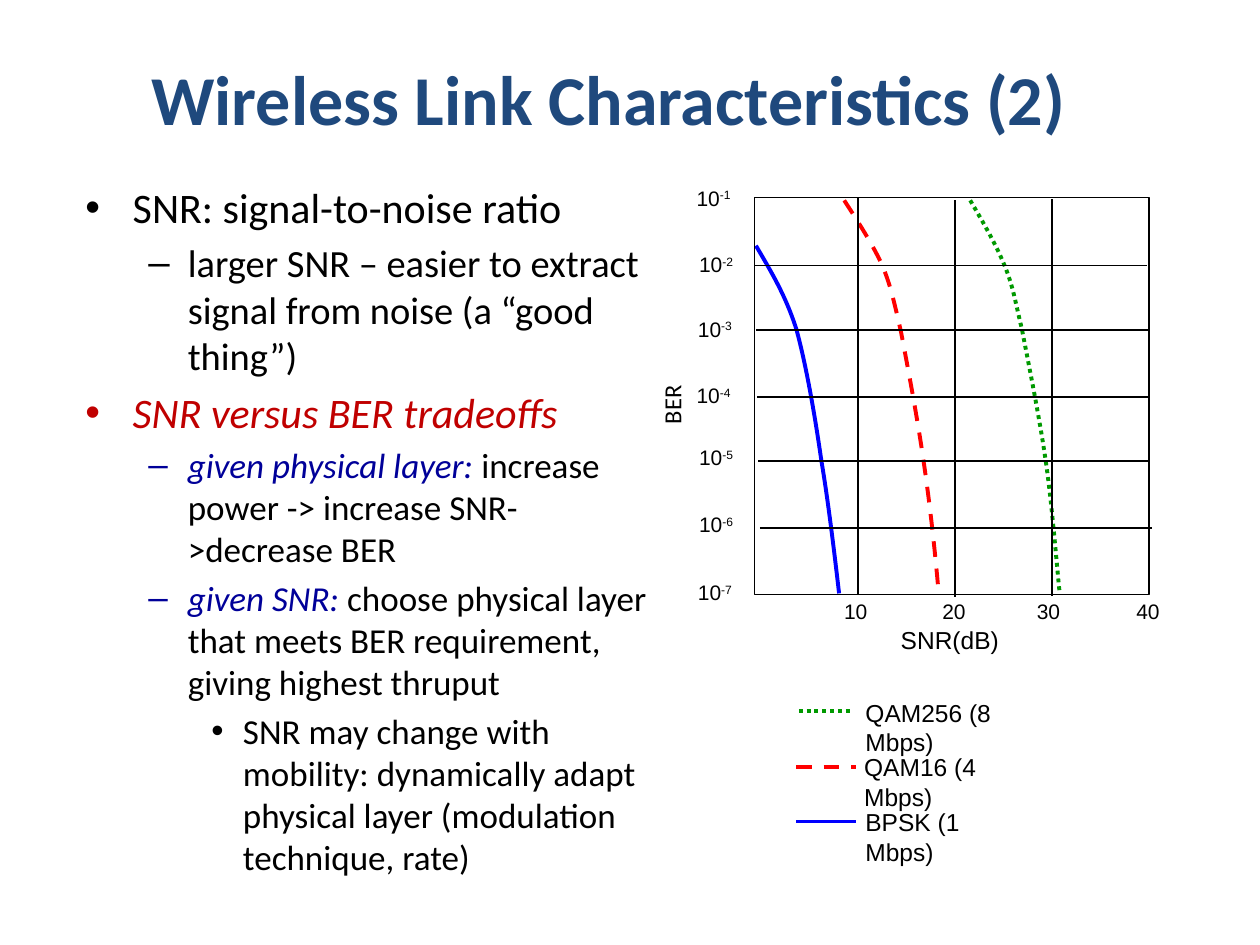
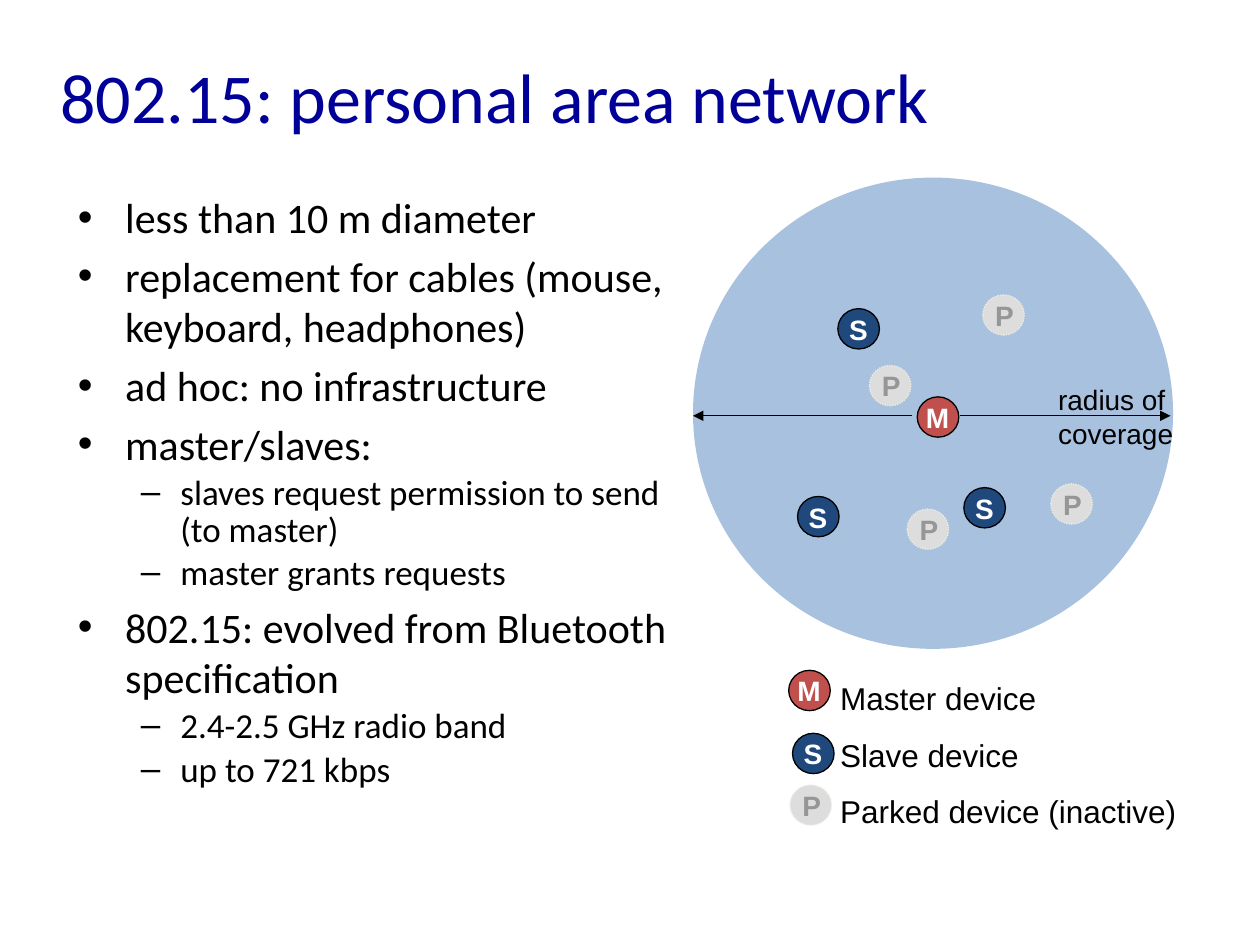
from lxml import etree
from pptx import Presentation
from pptx.dml.color import RGBColor
from pptx.enum.dml import MSO_LINE
from pptx.enum.shapes import MSO_CONNECTOR, MSO_SHAPE
from pptx.enum.text import MSO_ANCHOR, MSO_AUTO_SIZE, PP_ALIGN
from pptx.oxml.ns import qn
from pptx.util import Emu, Pt

EMU_PER_PX = 9144
TITLE_ONLY = 5
HEADING_FONT = "Calibri"
LABEL_FONT = "Arial"
COLORS = {
    "black": "000000",
    "white": "FFFFFF",
    "navy": "1F497D",
    "indigo": "000099",
    "crimson": "C00000",
    "blue": "0000FF",
    "red": "FF0000",
    "green": "009900",
    "coverage": "4F81BD",
    "master": "C0504D",
    "parked": "DDDDDD",
    "parked_edge": "EEECE1",
    "parked_text": "969696",
}
BULLETS = [(Pt(27), Pt(-27), "•"), (Pt(58.5), Pt(-22.5), "–"), (Pt(90), Pt(-18), "•")]
DEVICES = {
    "M": ("master", "black", "white", None, -3),
    "S": ("navy", "black", "white", None, -1),
    "P": ("parked", "parked_edge", "parked_text", MSO_LINE.ROUND_DOT, 0),
}
BER_GRID = [54, 105, 158, 209, 262]
BER_LABELS = [(-56, -15), (-54, 38), (-55, 89), (-56, 142), (-54, 191), (-54, 244), (-55, 298)]
SNR_GRID = [(82, 0), (159, 2), (236, 1)]
SNR_LABELS = [61, 139, 214, 293]
MODULATIONS = [
    ("green", MSO_LINE.ROUND_DOT,
     [(171, 2), (181, 19), (191, 36), (198, 53), (205, 70), (206, 79), (212, 104),
      (217, 130), (226, 174), (231, 209), (236, 243), (240, 295), (242, 313)]),
    ("red", MSO_LINE.DASH,
     [(71, 2), (82, 19), (93, 36), (101, 53), (108, 70), (110, 80), (116, 106),
      (121, 132), (129, 174), (134, 209), (139, 243), (143, 279), (146, 314)]),
    ("blue", None,
     [(1, 38), (12, 57), (24, 76), (33, 104), (41, 133), (48, 174), (53, 209),
      (59, 244), (65, 297), (67, 314)]),
]
LEGEND = [
    ("QAM256 (8 Mbps)", (45, 0, 178, 33), (2, 45, 15)),
    ("QAM16 (4 Mbps)", (44, 43, 168, 33), (0, 47, 60)),
    ("BPSK (1 Mbps)", (45, 87, 154, 33), (0, 47, 103)),
]


def px(value):
    return Emu(round(value * EMU_PER_PX))


def rgb(name):
    return RGBColor.from_string(COLORS[name])


def format_run(run, size, color="black", font=LABEL_FONT, bold=False, italic=False):
    run.font.size = Pt(size)
    run.font.name = font
    run.font.bold = bold
    run.font.italic = italic
    run.font.color.rgb = rgb(color)


def format_line(line, color="black", width=0.75, dash=None):
    line.color.rgb = rgb(color)
    line.width = Pt(width)
    if dash is not None:
        line.dash_style = dash


def add_label(shapes, box, text, size, color="black", font=LABEL_FONT, bold=False,
              wrap=False, spacing=None):
    label = shapes.add_textbox(*map(px, box))
    label.text_frame.word_wrap = wrap
    label.text_frame.text = text
    for paragraph in label.text_frame.paragraphs:
        if spacing:
            paragraph.line_spacing = spacing
        for run in paragraph.runs:
            format_run(run, size, color, font, bold)
    return label


def add_line(shapes, start, end, color="black", width=0.75, dash=None, arrow=None):
    connector = shapes.add_connector(MSO_CONNECTOR.STRAIGHT, *map(px, start + end))
    format_line(connector.line, color, width, dash)
    if arrow:
        etree.SubElement(connector.line._get_or_add_ln(), qn(f"a:{arrow}"), type="triangle")
    etree.SubElement(connector.element.spPr, qn("a:effectLst"))


def add_titled_slide(presentation, box, text, color, bold, alignment):
    slide = presentation.slides.add_slide(presentation.slide_layouts[TITLE_ONLY])
    title = slide.shapes.title
    title.left, title.top, title.width, title.height = map(px, box)
    title.text_frame.text = text
    title.text_frame.auto_size = MSO_AUTO_SIZE.NONE
    title.text_frame.vertical_anchor = MSO_ANCHOR.MIDDLE
    paragraph = title.text_frame.paragraphs[0]
    paragraph.alignment = alignment
    format_run(paragraph.runs[0], 40, color, HEADING_FONT, bold)
    return slide


def format_bullet(paragraph, level):
    margin, indent, character = BULLETS[level]
    paragraph.level = level
    properties = paragraph._p.get_or_add_pPr()
    properties.set("marL", str(margin))
    properties.set("indent", str(indent))
    space_before = etree.SubElement(properties, qn("a:spcBef"))
    etree.SubElement(space_before, qn("a:spcPct"), val="20000")
    etree.SubElement(properties, qn("a:buFont"), typeface=LABEL_FONT)
    etree.SubElement(properties, qn("a:buChar"), char=character)


def add_body(slide, box, items):
    body = slide.shapes.add_textbox(*map(px, box))
    frame = body.text_frame
    frame.word_wrap = True
    for index, (level, size, spacing, parts) in enumerate(items):
        paragraph = frame.paragraphs[0] if index == 0 else frame.add_paragraph()
        if spacing:
            paragraph.line_spacing = Pt(spacing)
        format_bullet(paragraph, level)
        for text, color, italic in parts:
            run = paragraph.add_run()
            run.text = text
            format_run(run, size, color, HEADING_FONT, italic=italic)


def add_curve(shapes, left, top, points, color, dash):
    start, *controls = [(px(left + x), px(top + y)) for x, y in points]
    builder = shapes.build_freeform(*start, scale=1.0)
    builder.add_line_segments(controls, close=False)
    curve = builder.convert_to_shape()
    outline = next(curve.element.iter(qn("a:path")))
    segments = outline.findall(qn("a:lnTo"))
    for first in range(0, len(segments), 3):
        bezier = etree.SubElement(outline, qn("a:cubicBezTo"))
        for segment in segments[first:first + 3]:
            bezier.append(segment[0])
            outline.remove(segment)
    curve.shadow.inherit = False
    curve.fill.background()
    format_line(curve.line, color, 2.25, dash)


def add_ber_plot(slide, box):
    left, top, width, height = box
    bottom = top + height
    shapes = slide.shapes
    for color, dash, points in reversed(MODULATIONS):
        add_curve(shapes, left, top, points, color, dash)

    frame = shapes.add_shape(MSO_SHAPE.RECTANGLE, *map(px, box))
    frame.shadow.inherit = False
    frame.fill.background()
    format_line(frame.line)

    for shift, y in enumerate(BER_GRID):
        start = left + shift
        add_line(shapes, (start, top + y), (start + width - 2, top + y))
    for x, shift in SNR_GRID:
        add_line(shapes, (left + x, top + shift), (left + x, bottom + shift))

    for index, x in enumerate(SNR_LABELS, 1):
        add_label(shapes, (left + x, bottom - 2, 39, 30), str(10 * index), 12)
    for index, (x, y) in enumerate(BER_LABELS, 1):
        label = add_label(shapes, (left + x, top + y, 48, 30), "10", 12)
        exponent = label.text_frame.paragraphs[0].add_run()
        exponent.text = f"-{index}"
        format_run(exponent, 12)
        exponent._r.get_or_add_rPr().set("baseline", "30000")

    add_label(shapes, (left + 106, bottom + 19, 98, 33), "SNR(dB)", 14)
    axis_title = add_label(shapes, (left - 92, top + 146, 53, 34), "BER", 14, font=HEADING_FONT)
    axis_title.rotation = 270


def add_modulation_legend(slide, left, top):
    for (color, dash, _), (text, (x, y, width, height), (start, end, line_y)) in zip(
            MODULATIONS, LEGEND):
        add_line(slide.shapes, (left + start, top + line_y), (left + end, top + line_y),
                 color, 2.25, dash)
        label = add_label(slide.shapes, (left + x, top + y, width, height), text, 14, wrap=True)
        label.text_frame.margin_right = px(width - 120)


def add_device(shapes, left, top, letter):
    fill, edge, text_color, dash, shift = DEVICES[letter]
    disc = shapes.add_shape(MSO_SHAPE.OVAL, *map(px, (left, top, 33, 32)))
    disc.shadow.inherit = False
    disc.fill.solid()
    disc.fill.fore_color.rgb = rgb(fill)
    format_line(disc.line, edge, dash=dash)
    add_label(shapes, (left + shift, top - 2, 33, 37), letter, 16, text_color, bold=True, wrap=True)


def add_coverage_area(slide, box):
    left, top, width, _ = box
    shapes = slide.shapes
    area = shapes.add_shape(MSO_SHAPE.OVAL, *map(px, box))
    area.shadow.inherit = False
    area.fill.solid()
    area.fill.fore_color.rgb = rgb("coverage")
    color = area.fill._xPr.find(qn("a:solidFill"))[0]
    etree.SubElement(color, qn("a:alpha"), val="49000")
    area.line.fill.background()

    y = top + 189
    add_line(shapes, (left + 212, y), (left + width - 2, y), arrow="tailEnd")
    add_line(shapes, (left, y), (left + 174, y), arrow="headEnd")
    add_label(shapes, (left + 280, top + 158, 111, 64), "radius of\ncoverage", 16)
    for letter, x, y in [("M", 178, 174), ("S", 115, 104), ("S", 215, 246), ("S", 83, 253),
                         ("P", 230, 93), ("P", 170, 263), ("P", 140, 149), ("P", 284, 243)]:
        add_device(shapes.add_group_shape().shapes, left + x, top + y, letter)


def add_device_legend(slide, left, top):
    shapes = slide.shapes.add_group_shape().shapes
    for letter, x, y in [("M", 3, 13), ("S", 6, 63), ("P", 4, 104)]:
        add_device(shapes, left + x, top + y, letter)
    add_label(shapes, (left + 34, top, 287, 145),
              "Master device\nSlave device\nParked device (inactive)", 18, spacing=1.5)


def build_link_slide(presentation):
    slide = add_titled_slide(presentation, (58, 15, 850, 125), "Wireless Link Characteristics (2)",
                             "navy", True, PP_ALIGN.CENTER)
    add_body(slide, (58, 139, 468, 568), [
        (0, 24, None, [("SNR: signal-to-noise ratio", "black", False)]),
        (1, 22, None, [("larger SNR – easier to extract signal from noise (a “good thing”)",
                        "black", False)]),
        (0, 24, None, [("SNR versus BER tradeoffs", "crimson", True)]),
        (1, 20, None, [("given physical layer:", "indigo", True),
                       (" increase power -> increase SNR->decrease BER", "black", False)]),
        (1, 20, None, [("given SNR:", "indigo", True),
                       (" choose physical layer that meets BER requirement, giving highest thruput",
                        "black", False)]),
        (2, 20, None, [("SNR may change with mobility: dynamically adapt physical layer "
                        "(modulation technique, rate)", "black", False)]),
    ])
    add_ber_plot(slide, (599, 157, 313, 315))
    add_modulation_legend(slide, 632, 549)


def build_network_slide(presentation):
    slide = add_titled_slide(presentation, (38, 30, 850, 92), "802.15: personal area network",
                             "indigo", False, PP_ALIGN.LEFT)
    add_coverage_area(slide, (550, 141, 381, 374))
    add_device_legend(slide, 623, 519)
    items = [
        (0, "less than 10 m diameter"),
        (0, "replacement for cables (mouse, keyboard, headphones)"),
        (0, "ad hoc: no infrastructure"),
        (0, "master/slaves:"),
        (1, "slaves request permission to send (to master)"),
        (1, "master grants requests"),
        (0, "802.15: evolved from Bluetooth specification"),
        (1, "2.4-2.5 GHz radio band"),
        (1, "up to 721 kbps"),
    ]
    add_body(slide, (52, 147, 488, 603), [
        (level, 20 if level else 24, 21 if level else None, [(text, "black", False)])
        for level, text in items
    ])


def main():
    presentation = Presentation()
    presentation.slide_width, presentation.slide_height = px(1000), px(750)
    build_link_slide(presentation)
    build_network_slide(presentation)
    presentation.save("out.pptx")


if __name__ == "__main__":
    main()
